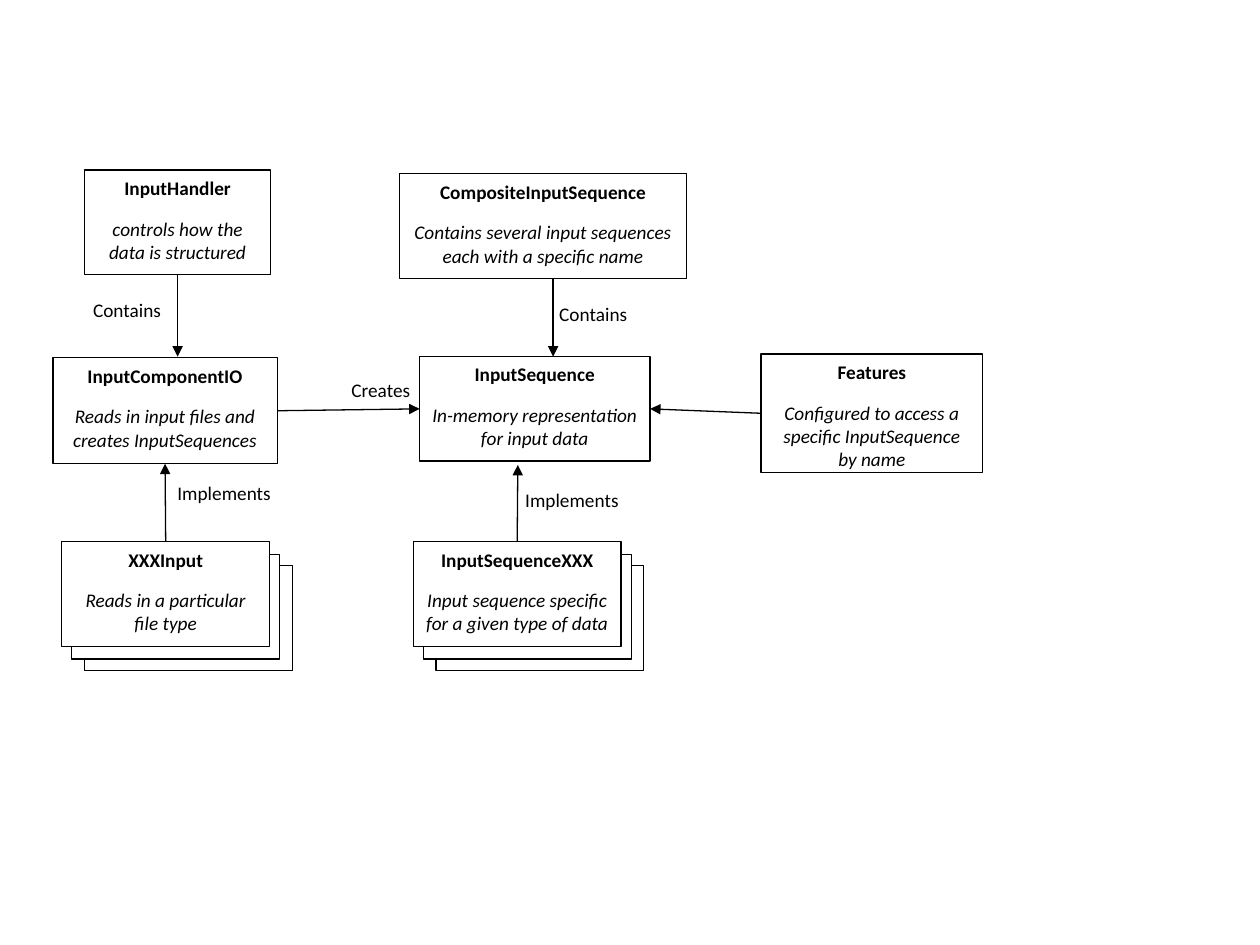
from pptx import Presentation
from pptx.dml.color import RGBColor
from pptx.enum.shapes import MSO_CONNECTOR, MSO_SHAPE
from pptx.enum.text import MSO_ANCHOR, PP_ALIGN
from pptx.oxml.ns import qn
from pptx.util import Inches, Pt
from lxml.etree import SubElement

BLACK = RGBColor(0x00, 0x00, 0x00)
WHITE = RGBColor(0xFF, 0xFF, 0xFF)
TOP, LEFT, BOTTOM, RIGHT = range(4)


class Diagram:
    font = "Calibri"
    size = Pt(11)
    line_width = Pt(0.75)
    space_after = Pt(10)
    stack_offsets = ((0.18, 0.19), (0.08, 0.1))

    def __init__(self, slide):
        self.slide = slide

    def rect(self, x, y, w, h, line=BLACK, shapes=None):
        shapes = self.slide.shapes if shapes is None else shapes
        s = shapes.add_shape(MSO_SHAPE.RECTANGLE, Inches(x), Inches(y), Inches(w), Inches(h))
        s.shadow.inherit = False
        s.fill.solid()
        s.fill.fore_color.rgb = WHITE
        s.line.color.rgb = line
        s.line.width = self.line_width
        tf = s.text_frame
        tf.word_wrap = True
        tf.vertical_anchor = MSO_ANCHOR.TOP
        return s

    def set_text(self, p, text, align, bold=False, italic=False):
        p.text = text
        p.alignment = align
        p.space_after = self.space_after
        f = p.font
        f.name, f.size, f.bold, f.italic = self.font, self.size, bold, italic
        f.color.rgb = BLACK

    def label(self, text, x, y):
        s = self.rect(x, y, 1, 0.34, line=WHITE)
        self.set_text(s.text_frame.paragraphs[0], text, PP_ALIGN.LEFT)

    def class_box(self, name, role, x, y, w, h=0.83, shapes=None):
        s = self.rect(x, y, w, h, shapes=shapes)
        tf = s.text_frame
        self.set_text(tf.paragraphs[0], name, PP_ALIGN.CENTER, bold=True)
        self.set_text(tf.add_paragraph(), role, PP_ALIGN.CENTER, italic=True)
        return s

    def class_stack(self, name, role, x, y, w, h=0.83):
        """Draw a class box in front of two empty ones; return the front box."""
        shapes = self.slide.shapes.add_group_shape().shapes
        for dx, dy in self.stack_offsets:
            self.rect(x + dx, y + dy, w, h, shapes=shapes)
        return self.class_box(name, role, x, y, w, h, shapes)

    def arrow(self, start, end):
        """Each end is an (x, y) point in inches or a (shape, side) pair."""
        c = self.slide.shapes.add_connector(MSO_CONNECTOR.STRAIGHT, 0, 0, 0, 0)
        if isinstance(start[0], (int, float)):
            c.begin_x, c.begin_y = map(Inches, start)
        else:
            c.begin_connect(*start)
        if isinstance(end[0], (int, float)):
            c.end_x, c.end_y = map(Inches, end)
        else:
            c.end_connect(*end)
        c.line.color.rgb = BLACK
        c.line.width = self.line_width
        spPr = c._element.spPr
        SubElement(spPr.find(qn("a:ln")), qn("a:tailEnd"), type="triangle")
        SubElement(spPr, qn("a:effectLst"))


def main():
    prs = Presentation()
    prs.slide_width, prs.slide_height = Inches(10), Inches(7.5)
    d = Diagram(prs.slides.add_slide(prs.slide_layouts[6]))

    for text, x, y in (
        ("Creates", 2.69, 2.95),
        ("Contains", 4.34, 2.35),
        ("Contains", 0.64, 2.32),
        ("Implements", 4.07, 3.83),
        ("Implements", 1.31, 3.77),
    ):
        d.label(text, x, y)

    handler = d.class_box("InputHandler", "controls how the data is structured", 0.67, 1.35, 1.48)
    component = d.class_box("InputComponentIO", "Reads in input files and creates InputSequences",
                            0.42, 2.84, 1.78, 0.84)
    sequence = d.class_box("InputSequence", "In-memory representation for input data",
                           3.33, 2.83, 1.83)
    d.class_box("CompositeInputSequence",
                "Contains several input sequences each with a specific name", 3.17, 1.38, 2.28)
    features = d.class_box("Features", "Configured to access a specific InputSequence by name",
                           6.04, 2.81, 1.76, 0.94)
    sequence_types = d.class_stack("InputSequenceXXX",
                                   "Input sequence specific for a given type of data",
                                   3.28, 4.3, 1.65)
    input_types = d.class_stack("XXXInput", "Reads in a particular file type", 0.49, 4.3, 1.65)

    d.arrow((handler, BOTTOM), (1.41, 2.83))
    d.arrow((4.39, 2.21), (4.39, 2.83))
    d.arrow((component, RIGHT), (sequence, LEFT))
    d.arrow((features, LEFT), (sequence, RIGHT))
    d.arrow((input_types, TOP), (component, BOTTOM))
    d.arrow((sequence_types, TOP), (4.11, 3.69))

    prs.save("out.pptx")


if __name__ == "__main__":
    main()
